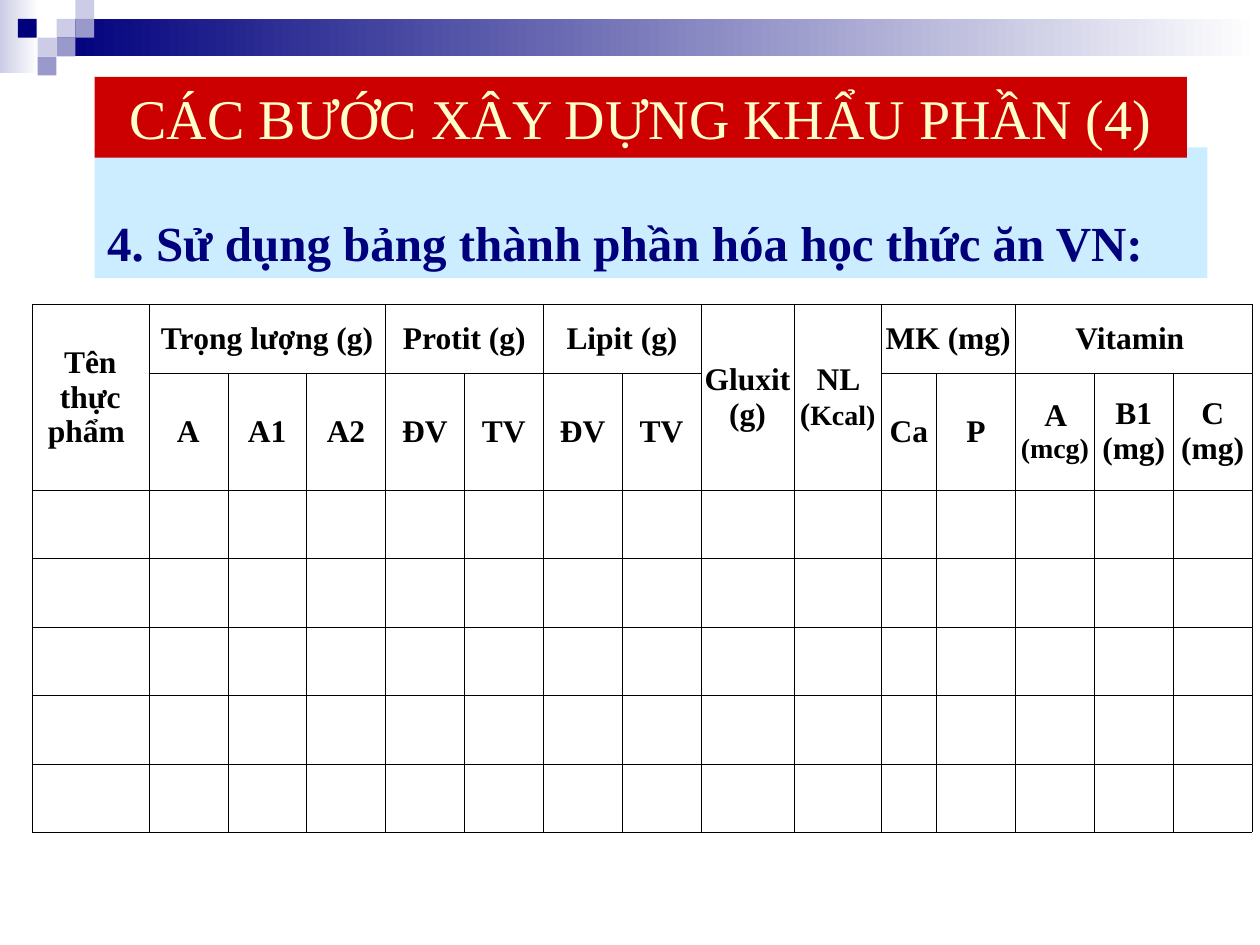
from lxml.etree import SubElement
from pptx import Presentation
from pptx.dml.color import RGBColor
from pptx.enum.shapes import MSO_SHAPE as Shape
from pptx.enum.text import MSO_ANCHOR as Anchor, PP_ALIGN as Align
from pptx.oxml.ns import qn
from pptx.util import Cm, Pt

NAVY, LILAC, VIOLET = "00007D", "CCCCE6", "9999CC"
WHITE, BLACK = "FFFFFF", "000000"
SQUARE = 0.38

# column, row and colour of each small square, counted in squares
SQUARES = [
    (3, 1, LILAC), (4, 0, LILAC), (4, 1, VIOLET), (2, 2, LILAC),
    (0.95, 1, NAVY), (3, 2, VIOLET), (2, 3, VIOLET),
]

COLUMNS = [2.36] + [1.59] * 7 + [1.88, 1.75, 1.12] + [1.59] * 4
ROWS = [1.38, 2.31] + [1.38] * 5

# row, column, rows spanned, columns spanned, runs of (text, size)
HEADINGS = [
    (0, 0, 2, 1, [("Tên thực phẩm ", 18)]),
    (0, 1, 1, 3, [("Trọng lượng (g)", 18)]),
    (0, 4, 1, 2, [("Protit (g)", 18)]),
    (0, 6, 1, 2, [("Lipit (g)", 18)]),
    (0, 8, 2, 1, [("Gluxit (g)", 18)]),
    (0, 9, 2, 1, [("NL (", 18), ("Kcal)", 16)]),
    (0, 10, 1, 2, [("MK (mg)", 18)]),
    (0, 12, 1, 3, [("Vitamin ", 18)]),
    (1, 12, 1, 1, [("A ", 18), ("(mcg)", 16)]),
    (1, 13, 1, 1, [("B1 (mg)", 18)]),
    (1, 14, 1, 1, [("C (mg)", 18)]),
]
PLAIN_HEADINGS = {1: "A", 2: "A1", 3: "A2", 4: "ĐV", 5: "TV",
                  6: "ĐV", 7: "TV", 10: "Ca", 11: "P"}
HEADINGS += [(1, column, 1, 1, [(text, 18)])
             for column, text in PLAIN_HEADINGS.items()]


def color(value):
    return RGBColor.from_string(value)


class SlideBuilder:
    font = "Times New Roman"
    border = Pt(0.23)

    def __init__(self, page):
        self.page = page

    def rectangle(self, left, top, width, height, fill, fade_to=None):
        box = self.page.shapes.add_shape(
            Shape.RECTANGLE, Cm(left), Cm(top), Cm(width), Cm(height))
        box.shadow.inherit = False
        box.line.fill.background()
        if fade_to:
            box.fill.gradient()
            box.fill.gradient_angle = 0
            for stop, value in zip(box.fill.gradient_stops, (fill, fade_to)):
                stop.color.rgb = color(value)
        else:
            box.fill.solid()
            box.fill.fore_color.rgb = color(fill)
        return box

    def style(self, paragraph, size, text_color, bold, align):
        paragraph.alignment = align
        font = paragraph.font
        font.name, font.size, font.bold = self.font, Pt(size), bold
        font.color.rgb = color(text_color)

    def banner(self, left, top, width, height, fill, text, size, text_color,
               bold=False, align=Align.CENTER, spacing=1.0):
        frame = self.rectangle(left, top, width, height, fill).text_frame
        frame.word_wrap = True
        frame.vertical_anchor = Anchor.TOP
        para = frame.paragraphs[0]
        para.text = text
        para.line_spacing = spacing
        self.style(para, size, text_color, bold, align)

    def outline(self, cell):
        properties = cell._tc.get_or_add_tcPr()
        for side in ("a:lnL", "a:lnR", "a:lnT", "a:lnB"):
            line = SubElement(properties, qn(side), w=str(self.border))
            fill = SubElement(line, qn("a:solidFill"))
            SubElement(fill, qn("a:srgbClr"), val=BLACK)

    def table(self, left, top, columns, rows, headings):
        table = self.page.shapes.add_table(
            len(rows), len(columns), Cm(left), Cm(top),
            Cm(sum(columns)), Cm(sum(rows))).table
        table.first_row = table.horz_banding = False
        for column, width in zip(table.columns, columns):
            column.width = Cm(width)
        for row, height in zip(table.rows, rows):
            row.height = Cm(height)
        for cell in table.iter_cells():
            self.outline(cell)
            cell.fill.background()
            cell.margin_left = cell.margin_right = Cm(0.03)
            cell.vertical_anchor = Anchor.MIDDLE
        for row, column, height, width, runs in headings:
            cell = table.cell(row, column)
            if height * width > 1:
                cell.merge(table.cell(row + height - 1, column + width - 1))
            para = cell.text_frame.paragraphs[0]
            self.style(para, 18, BLACK, True, Align.CENTER)
            for text, size in runs:
                span = para.add_run()
                span.text = text
                span.font.size = Pt(size)


def main():
    deck = Presentation()
    deck.slide_width, deck.slide_height = Cm(25.4), Cm(19.05)
    slide = SlideBuilder(deck.slides.add_slide(deck.slide_layouts[6]))

    slide.rectangle(0, 0, 0.79, 1.47, LILAC, fade_to=WHITE)
    slide.rectangle(1.14, 0.38, 24.26, 0.76, NAVY, fade_to=WHITE)
    for column, row, fill in SQUARES:
        slide.rectangle(column * SQUARE, row * SQUARE, SQUARE, SQUARE, fill)

    slide.banner(1.91, 2.97, 22.43, 2.64, "CCECFF",
                 "4. Sử dụng bảng thành phần hóa học thức ăn VN:", 28, NAVY,
                 bold=True, align=Align.JUSTIFY, spacing=2.0)
    slide.banner(1.91, 1.55, 22.02, 1.63, "CC0000",
                 "CÁC BƯỚC XÂY DỰNG KHẨU PHẦN (4)", 32, "FFFFCC")
    slide.table(0.64, 6.14, COLUMNS, ROWS, HEADINGS)
    deck.save("out.pptx")


if __name__ == "__main__":
    main()
